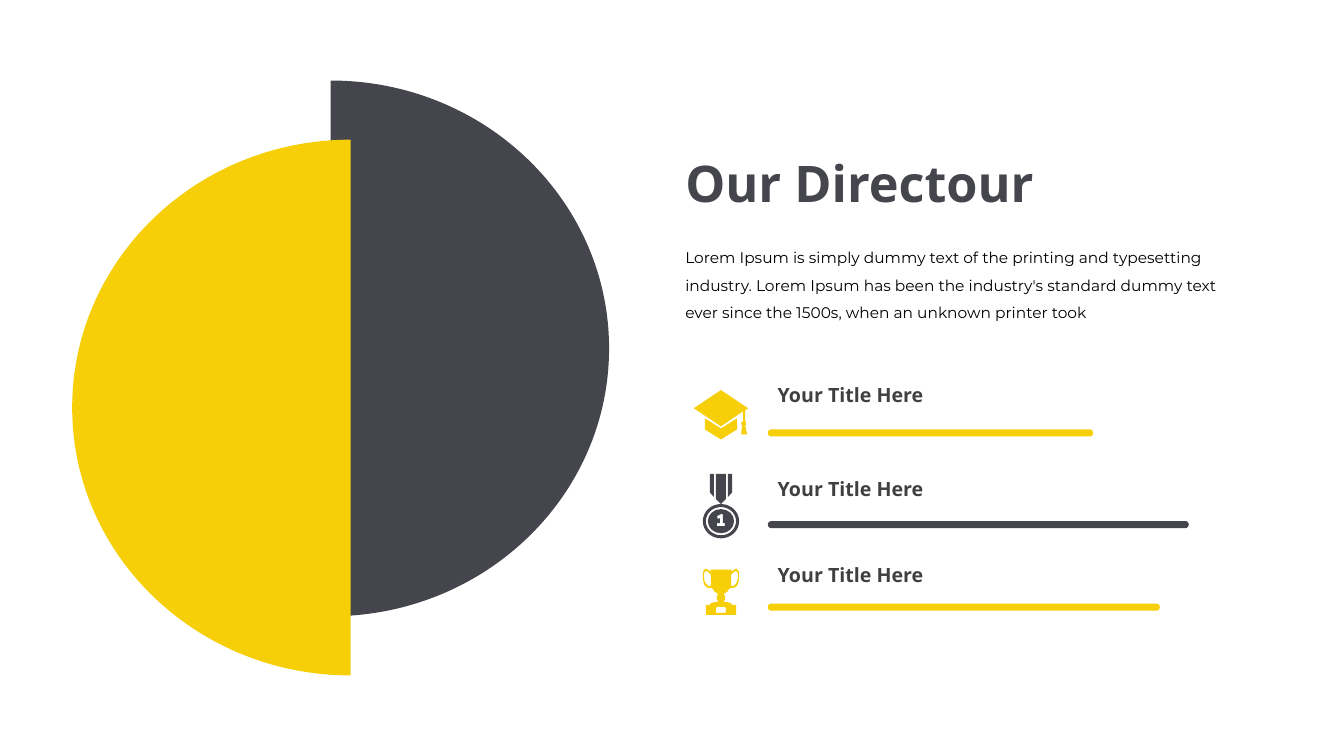
from pptx import Presentation
from pptx import util as u
from pptx.dml.color import RGBColor
from pptx.enum import shapes, text
from pptx.oxml.ns import qn

COLORS = {"dark": "45454D", "yellow": "F6CF08", "title": "404040", "body": "000000"}
BODY = ("Lorem Ipsum is simply dummy text of the printing and typesetting industry. "
        "Lorem Ipsum has been the industry's standard dummy text ever since the 1500s, "
        "when an unknown printer took")
ICON_X = 18.17      # centre line of the icons, cm
ICON_UNIT = 0.0254  # cm per icon grid step
ARC = 0.5523        # control length of a quarter circle


# Geometry: a contour is a list of points (x, y) and cubic curves (three points in a row)
def half_ellipse(cx, cy, rx, ry):
    """Right half from top to bottom; a negative rx gives the left half."""
    return [(cx, cy - ry),
            (cx + ARC * rx, cy - ry, cx + rx, cy - ARC * ry, cx + rx, cy),
            (cx + rx, cy + ARC * ry, cx + ARC * rx, cy + ry, cx, cy + ry)]


def pairs(seg):
    return list(zip(seg[::2], seg[1::2]))


def mirror(contour):
    """Flip about x = 0 and run the contour backwards."""
    flipped = [[(-x, y) for x, y in pairs(seg)] for seg in contour]
    result = [flipped[-1][-1]]
    for before, seg in reversed(list(zip(flipped, flipped[1:]))):
        points = seg[-2::-1] + [before[-1]]
        result.append(tuple(n for point in points for n in point))
    return result


def symmetric(half):
    return half + mirror(half)[1:]


# Icons, in grid steps from the centre line and the icon's top
def cap_icon():
    book = [(-16, 28), (0, 38), (16, 28), (16, 39), (0, 49), (-16, 39)]
    board = [(0, 0), (27, 18), (24, 20), (24, 31), (24, 31, 25, 32, 25, 33),
             (25, 34, 25, 35, 24, 35), (26, 44), (20, 44), (21, 35),
             (21, 35, 20, 34, 20, 33), (20, 32, 21, 31, 22, 31),
             (22, 21), (0, 36), (-27, 18)]
    return [book, board]


def medal_icon():
    one = [(2, 40), (0, 40), (-4, 42), (-3, 45), (-1, 44), (-1, 49), (-4, 49),
           (-4, 52), (4, 52), (4, 49), (2, 49)]
    rings = [symmetric(half_ellipse(0, 47, r, r - 1)) for r in (18, 15, 13)]
    side = [(7, 0), (11, 0), (11, 18.5), (7, 23)]
    middle = [(-5, 0), (5, 0), (5, 25), (0, 30), (-5, 25)]
    return rings + [one, side, mirror(side), middle]


def trophy_icon():
    half = [(0, 1), (10, 1), (11, 1, 11, 2, 10, 2), (10, 3), (12, 2, 14, 0, 15, 0),
            (17, 0, 18, 2, 18, 8), (18, 12, 17, 15, 16, 17),
            (14, 19, 12, 20, 9, 19), (8, 22, 5, 24, 3, 25), (3, 26),
            (3, 26, 4, 27, 4, 27), (4, 31), (4, 31, 3, 32, 3, 32), (3, 33),
            (7, 33, 11, 34, 11, 36), (15, 36), (15, 46), (0, 46)]
    ear = [(15, 2), (14, 2, 12, 4, 10, 6), (10, 13), (10, 15, 10, 16, 10, 17),
           (12, 18, 13, 17, 14, 16), (16, 14, 17, 11, 17, 8), (17, 4, 16, 3, 15, 2)]
    plate = [(-4, 38), (4, 38), (5, 39), (5, 43), (4, 44), (-4, 44), (-5, 43), (-5, 39)]
    return [symmetric(half), ear, mirror(ear), plate]


# Drawing
def paint(sp, color):
    sp.shadow.inherit = False
    sp.fill.solid()
    sp.fill.fore_color.rgb = RGBColor.from_string(COLORS[color])
    sp.line.fill.background()


def bend_curves(sp, contours):
    """Join the three line steps of each curve into one cubic step."""
    steps = iter(list(sp.element.iter(qn("a:lnTo"))))
    for contour in contours:
        for seg in contour[1:]:
            step = next(steps)
            if len(seg) == 6:
                step.tag = qn("a:cubicBezTo")
                for extra in (next(steps), next(steps)):
                    step.append(extra[0])
                    extra.getparent().remove(extra)


def add_outline(s, contours, color, left=0, top=0, scale=1):
    builder = None
    for contour in contours:
        points = [(u.Cm(left + x * scale), u.Cm(top + y * scale))
                  for seg in contour for x, y in pairs(seg)]
        if builder is None:
            builder = s.shapes.build_freeform(*points[0])
        else:
            builder.move_to(*points[0])
        builder.add_line_segments(points[1:], close=True)
    sp = builder.convert_to_shape()
    bend_curves(sp, contours)
    paint(sp, color)


def add_bar(s, left, top, width, color):
    sp = s.shapes.add_shape(shapes.MSO_SHAPE.ROUNDED_RECTANGLE,
                            u.Cm(left), u.Cm(top), u.Cm(width), u.Cm(0.18))
    sp.adjustments[0] = 0.5
    paint(sp, color)


def add_text(s, content, left, top, width, height, *, size, color,
             font="Open Sans", bold=True, spacing=None):
    sp = s.shapes.add_textbox(u.Cm(left), u.Cm(top), u.Cm(width), u.Cm(height))
    tf = sp.text_frame
    tf.word_wrap = True
    tf.auto_size = text.MSO_AUTO_SIZE.SHAPE_TO_FIT_TEXT
    p = tf.paragraphs[0]
    if spacing:
        p.line_spacing = spacing
    r = p.add_run()
    r.text = content
    r.font.name, r.font.size, r.font.bold = font, u.Pt(size), bold
    r.font.color.rgb = RGBColor.from_string(COLORS[color])


def main():
    prs = Presentation()
    prs.slide_width, prs.slide_height = u.Cm(33.87), u.Cm(19.05)
    s = prs.slides.add_slide(prs.slide_layouts[6])

    # Two offset half discs
    add_outline(s, [half_ellipse(8.33, 8.78, 7.02, 6.75)], "dark")
    add_outline(s, [half_ellipse(8.84, 10.27, -7.02, 6.75)], "yellow")

    # Heading and introduction
    add_text(s, "Our Directour", 17.02, 3.71, 16.84, 1.8, size=36, color="dark")
    add_text(s, BODY, 17.02, 5.89, 14.81, 2.29, size=11, color="body",
             font="Montserrat", bold=False, spacing=1.5)

    # Rows: icon, icon top, title top, bar top, bar width, colour
    rows = [(cap_icon(), 9.83, 9.53, 10.82, 8.2, "yellow"),
            (medal_icon(), 11.94, 11.89, 13.13, 10.61, "dark"),
            (trophy_icon(), 14.33, 14.05, 15.21, 9.88, "yellow")]
    for icon, icon_top, title_top, bar_top, bar_width, color in rows:
        add_outline(s, icon, color, ICON_X, icon_top, ICON_UNIT)
        add_text(s, "Your Title Here", 19.35, title_top, 6, 0.86, size=14, color="title")
        add_bar(s, 19.35, bar_top, bar_width, color)

    prs.save("out.pptx")


if __name__ == "__main__":
    main()
